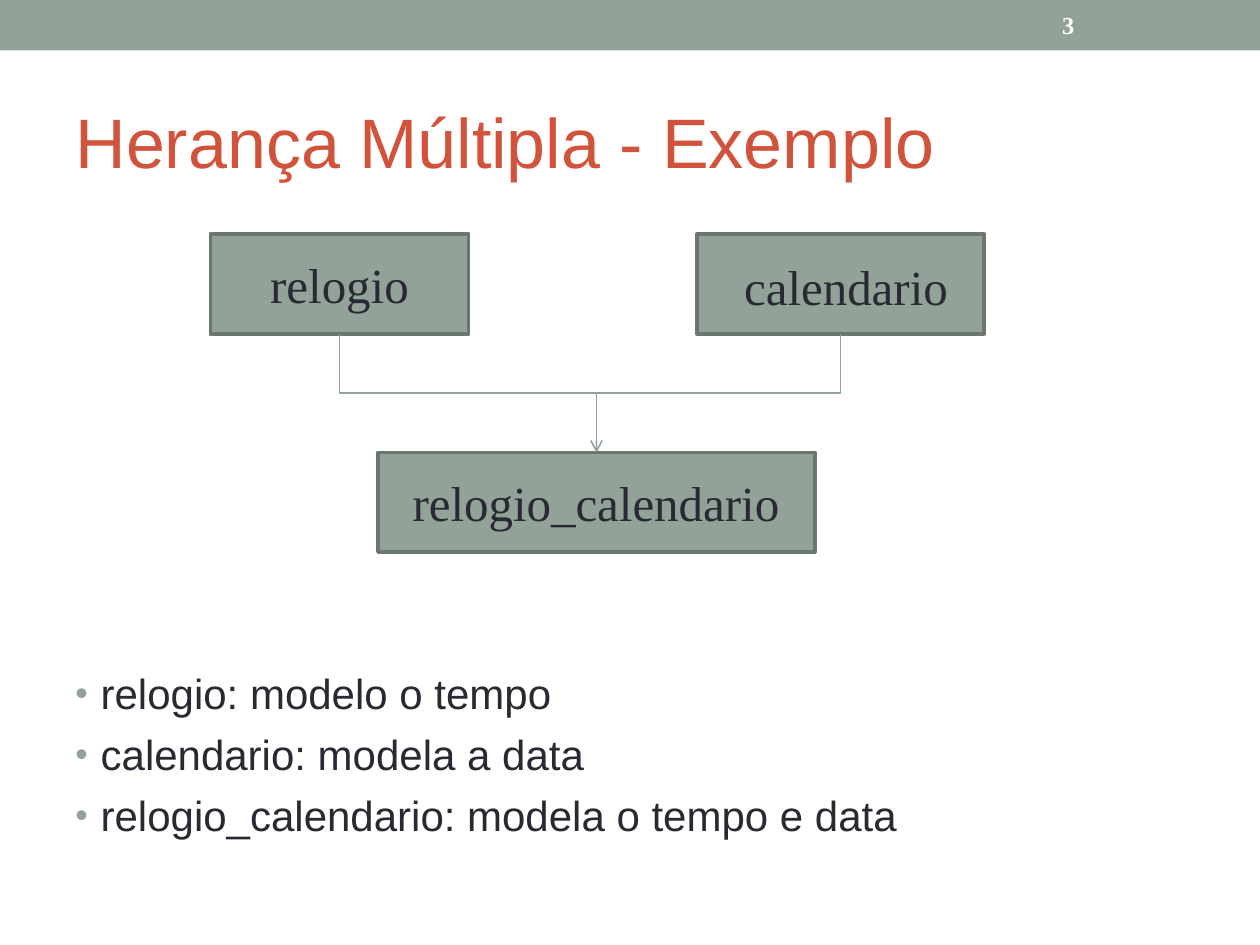
from lxml import etree
from pptx import Presentation
from pptx.dml.color import RGBColor
from pptx.enum.shapes import MSO_CONNECTOR, MSO_SHAPE
from pptx.enum.text import MSO_ANCHOR, MSO_AUTO_SIZE, PP_ALIGN
from pptx.oxml.ns import qn
from pptx.util import Cm, Pt

TITLE = "Herança Múltipla - Exemplo"
PAGE_NUMBER = "3"
NOTES = [
    "relogio: modelo o tempo",
    "calendario: modela a data",
    "relogio_calendario: modela o tempo e data",
]
# class name: (box left, top, width), (label left, top, width), in cm
CLASSES = {
    "relogio": ((4.24, 4.72, 5.21), (4.65, 5.0, 4.39)),
    "calendario": ((14.05, 4.72, 5.79), (14.45, 5.05, 5.21)),
    "relogio_calendario": ((7.62, 9.12, 8.81), (7.95, 9.4, 8.13)),
}
INHERITANCE = [("relogio", "relogio_calendario"), ("calendario", "relogio_calendario")]
BOX_HEIGHT, LABEL_HEIGHT = 2.01, 1.45
COLORS = {"sage": "93A299", "edge": "6B766F", "ink": "292934",
          "title": "D2533C", "white": "FFFFFF"}
SANS, SERIF = "Arial", "Times New Roman"


def color(name):
    return RGBColor.from_string(COLORS[name])


def style(paragraph, face, size, color_name, bold=False):
    font = paragraph.font
    font.name, font.size, font.bold = face, Pt(size), bold
    font.color.rgb = color(color_name)


def add_rectangle(slide, left, top, width, height, edge=None):
    rectangle = slide.shapes.add_shape(
        MSO_SHAPE.RECTANGLE, Cm(left), Cm(top), Cm(width), Cm(height))
    rectangle.shadow.inherit = False
    rectangle.fill.solid()
    rectangle.fill.fore_color.rgb = color("sage")
    if edge:
        rectangle.line.color.rgb = color(edge)
        rectangle.line.width = Pt(2)
    else:
        rectangle.line.fill.background()
    return rectangle


def add_text(slide, left, top, width, height):
    frame = slide.shapes.add_textbox(Cm(left), Cm(top), Cm(width), Cm(height)).text_frame
    frame.word_wrap = True
    return frame


def add_class(slide, name):
    box, label = CLASSES[name]
    rectangle = add_rectangle(slide, *box, BOX_HEIGHT, edge="edge")
    frame = add_text(slide, *label, LABEL_HEIGHT)
    paragraph = frame.paragraphs[0]
    paragraph.text = name
    paragraph.alignment = PP_ALIGN.CENTER
    style(paragraph, SERIF, 28, "ink")
    return rectangle


def add_bullet(paragraph):
    properties = paragraph._p.get_or_add_pPr()
    indent = Cm(0.51)
    properties.set("marL", str(indent))
    properties.set("indent", str(-indent))
    bullet_color = etree.SubElement(properties, qn("a:buClr"))
    etree.SubElement(bullet_color, qn("a:srgbClr"), val=COLORS["sage"])
    etree.SubElement(properties, qn("a:buSzPct"), val="85000")
    etree.SubElement(properties, qn("a:buFont"), typeface=SANS)
    etree.SubElement(properties, qn("a:buChar"), char="•")


def add_inheritance(slide, parent, child):
    """Join parent's bottom to child's top with an elbow that leaves downwards."""
    start_x, start_y = parent.left + parent.width // 2, parent.top + parent.height
    end_x, end_y = child.left + child.width // 2, child.top
    arrow = slide.shapes.add_connector(MSO_CONNECTOR.ELBOW, start_x, start_y, end_x, end_y)
    arrow.begin_connect(parent, 2)
    arrow.end_connect(child, 0)

    # An elbow runs sideways by default: turn it a quarter about its centre.
    arrow.width, arrow.height = end_y - start_y, abs(end_x - start_x)
    arrow.left = (start_x + end_x - arrow.width) // 2
    arrow.top = (start_y + end_y - arrow.height) // 2
    goes_right = end_x > start_x
    frame = arrow._element.spPr.find(qn("a:xfrm"))
    frame.set("rot", "16200000" if goes_right else "5400000")
    frame.set("flipH", "1" if goes_right else "0")

    arrow.line.color.rgb = color("sage")
    arrow.line.width = Pt(0.75)
    etree.SubElement(arrow.line._get_or_add_ln(), qn("a:tailEnd"), type="arrow")
    etree.SubElement(arrow._element.spPr, qn("a:effectLst"))


def main():
    presentation = Presentation()
    presentation.slide_width, presentation.slide_height = Cm(25.4), Cm(19.05)
    slide = presentation.slides.add_slide(presentation.slide_layouts[5])
    add_rectangle(slide, 0, 0, 25.4, 1.02)

    title = slide.shapes.title
    title.left, title.top, title.width, title.height = Cm(1.27), Cm(1.47), Cm(22.86), Cm(2.74)
    title.text_frame.text = TITLE
    title.text_frame.auto_size = MSO_AUTO_SIZE.NONE
    title.text_frame.vertical_anchor = MSO_ANCHOR.MIDDLE
    heading = title.text_frame.paragraphs[0]
    heading.alignment = PP_ALIGN.LEFT
    style(heading, SANS, 40, "title")

    page = add_text(slide, 21.16, 0.05, 2.97, 0.91)
    page.vertical_anchor = MSO_ANCHOR.MIDDLE
    page.text = PAGE_NUMBER
    style(page.paragraphs[0], SERIF, 14, "white", bold=True)

    notes = add_text(slide, 1.27, 13.34, 22.86, 4.67)
    for index, note in enumerate(NOTES):
        paragraph = notes.add_paragraph() if index else notes.paragraphs[0]
        paragraph.text = note
        add_bullet(paragraph)
        if index:
            paragraph.space_before = Pt(6)
        style(paragraph, SANS, 24, "ink")

    boxes = {name: add_class(slide, name) for name in CLASSES}
    for parent, child in INHERITANCE:
        add_inheritance(slide, boxes[parent], boxes[child])

    presentation.save("out.pptx")


if __name__ == "__main__":
    main()
